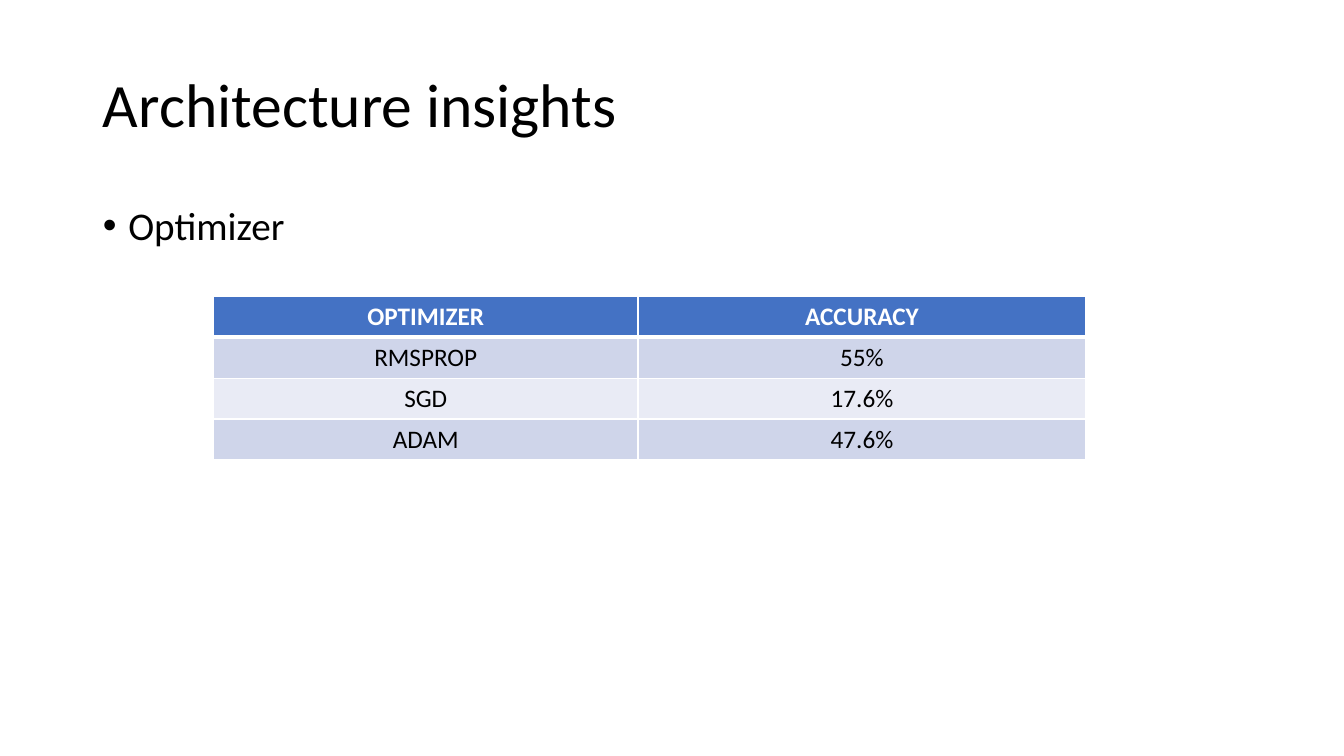
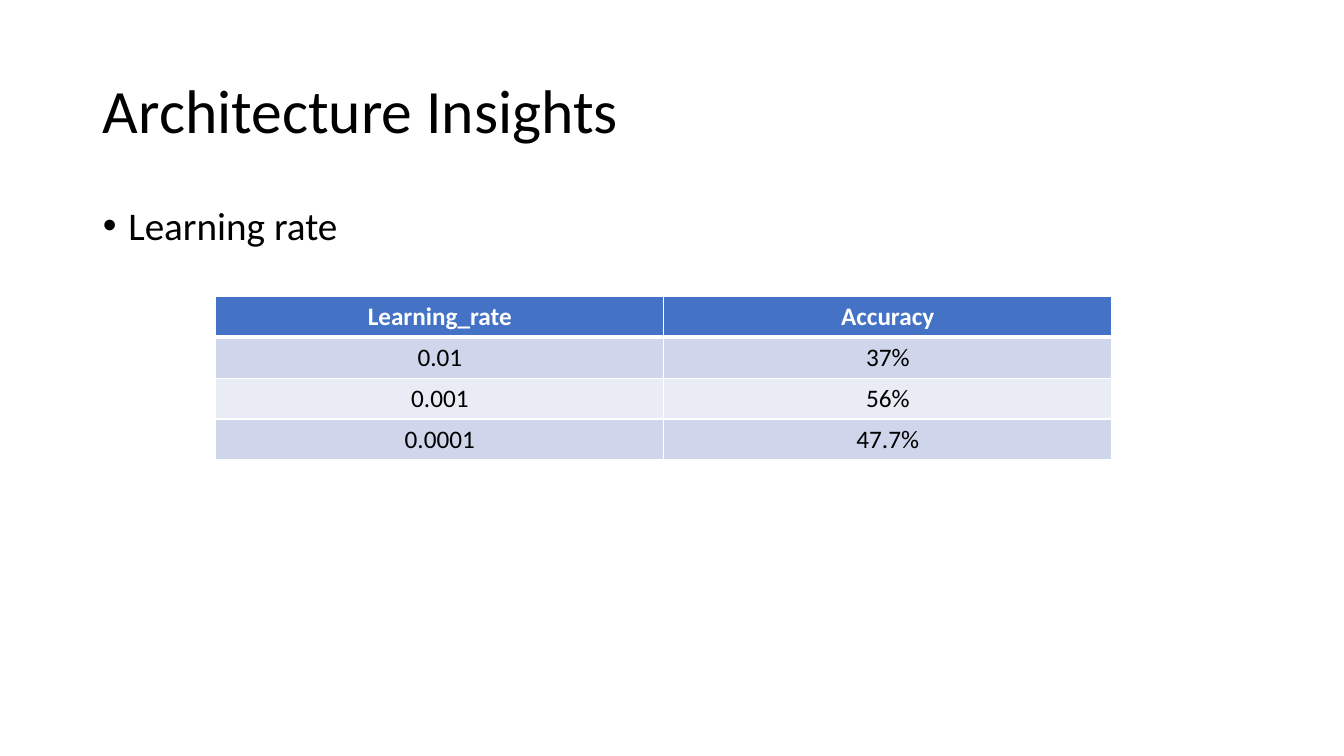
from pptx import Presentation
from pptx.dml.color import RGBColor
from pptx.enum.text import MSO_ANCHOR, MSO_AUTO_SIZE, PP_ALIGN
from pptx.oxml.ns import qn
from pptx.util import Cm, Pt
from lxml.etree import SubElement

# Shared style
COLORS = {
    "text": "000000",
    "white": "FFFFFF",
    "header": "4472C4",
    "band_dark": "CFD5EA",
    "band_light": "E9EBF5",
}
FONT = "Calibri"
LEFT, WIDTH = 2.34, 29.21
TITLE_H = 3.68
BODY_TOP, BODY_H = 5.08, 12.09
TABLE_TOP, ROW_H = 7.47, 1.03


def rgb(name):
    return RGBColor.from_string(COLORS[name])


def write(tf, text, size=18, color="text", bold=False, align=PP_ALIGN.LEFT,
          line=None, before=None):
    """Put one formatted paragraph in a text frame and return it."""
    p = tf.paragraphs[0]
    p.alignment = align
    if line is not None:
        p.line_spacing = line
    if before is not None:
        p.space_before = Pt(before)
    r = p.add_run()
    r.text = text
    r.font.name = FONT
    r.font.size = Pt(size)
    r.font.bold = bold
    r.font.color.rgb = rgb(color)
    return p


def place(sp, left, top, width, height, anchor):
    """Move a placeholder to its box and return its text frame."""
    sp.left, sp.top, sp.width, sp.height = map(Cm, (left, top, width, height))
    tf = sp.text_frame
    tf.word_wrap = True
    tf.auto_size = MSO_AUTO_SIZE.NONE
    tf.vertical_anchor = anchor
    return tf


def add_title(s, text, top):
    tf = place(s.shapes.title, LEFT, top, WIDTH, TITLE_H, MSO_ANCHOR.MIDDLE)
    write(tf, text, size=44, line=0.9, before=0)


def add_bullet(s, text):
    tf = place(s.placeholders[1], LEFT, BODY_TOP, WIDTH, BODY_H, MSO_ANCHOR.TOP)
    p = write(tf, text, size=28, line=0.9, before=10)
    pPr = p._p.get_or_add_pPr()
    pPr.set("marL", str(Cm(0.64)))
    pPr.set("indent", str(-Cm(0.64)))
    SubElement(pPr, qn("a:buFont"), typeface="Arial")
    SubElement(pPr, qn("a:buChar"), char="•")


def set_borders(cell, **widths):
    """Draw white cell borders, with widths in points by side."""
    tcPr = cell._tc.get_or_add_tcPr()
    for side in "LRTB":
        ln = SubElement(tcPr, qn(f"a:ln{side}"), w=str(Pt(widths.get(side, 1))))
        fill = SubElement(ln, qn("a:solidFill"))
        SubElement(fill, qn("a:srgbClr"), val=COLORS["white"])


def add_results(s, rows, left, col_widths):
    """Add a table with a header row and alternating bands."""
    frame = s.shapes.add_table(len(rows), len(col_widths), Cm(left), Cm(TABLE_TOP),
                               Cm(sum(col_widths)), Cm(ROW_H * len(rows)))
    table = frame.table
    for col, width in zip(table.columns, col_widths):
        col.width = Cm(width)
    for i, values in enumerate(rows):
        head = i == 0
        fill = "header" if head else "band_dark" if i % 2 else "band_light"
        # The rule below the header is thicker than the others
        borders = {0: {"B": 3}, 1: {"T": 3}}.get(i, {})
        for j, value in enumerate(values):
            cell = table.cell(i, j)
            set_borders(cell, **borders)
            cell.fill.solid()
            cell.fill.fore_color.rgb = rgb(fill)
            write(cell.text_frame, value, color="white" if head else "text",
                  bold=head, align=PP_ALIGN.CENTER)


def add_insight_slide(prs, title, title_top, topic, rows, left, col_widths):
    s = prs.slides.add_slide(prs.slide_layouts[1])
    add_title(s, title, title_top)
    add_bullet(s, topic)
    add_results(s, rows, left, col_widths)


def main():
    prs = Presentation()
    prs.slide_width, prs.slide_height = Cm(33.87), Cm(19.05)

    # Optimizer comparison
    add_insight_slide(
        prs, "Architecture insights", 0.86, "Optimizer",
        [("OPTIMIZER", "ACCURACY"), ("RMSPROP", "55%"),
         ("SGD", "17.6%"), ("ADAM", "47.6%")],
        left=5.38, col_widths=(10.7, 11.29))

    # Learning rate comparison
    add_insight_slide(
        prs, "Architecture Insights", 1.02, "Learning rate",
        [("Learning_rate", "Accuracy"), ("0.01", "37%"),
         ("0.001", "56%"), ("0.0001", "47.7%")],
        left=5.44, col_widths=(11.29, 11.29))

    prs.save("out.pptx")


if __name__ == "__main__":
    main()
